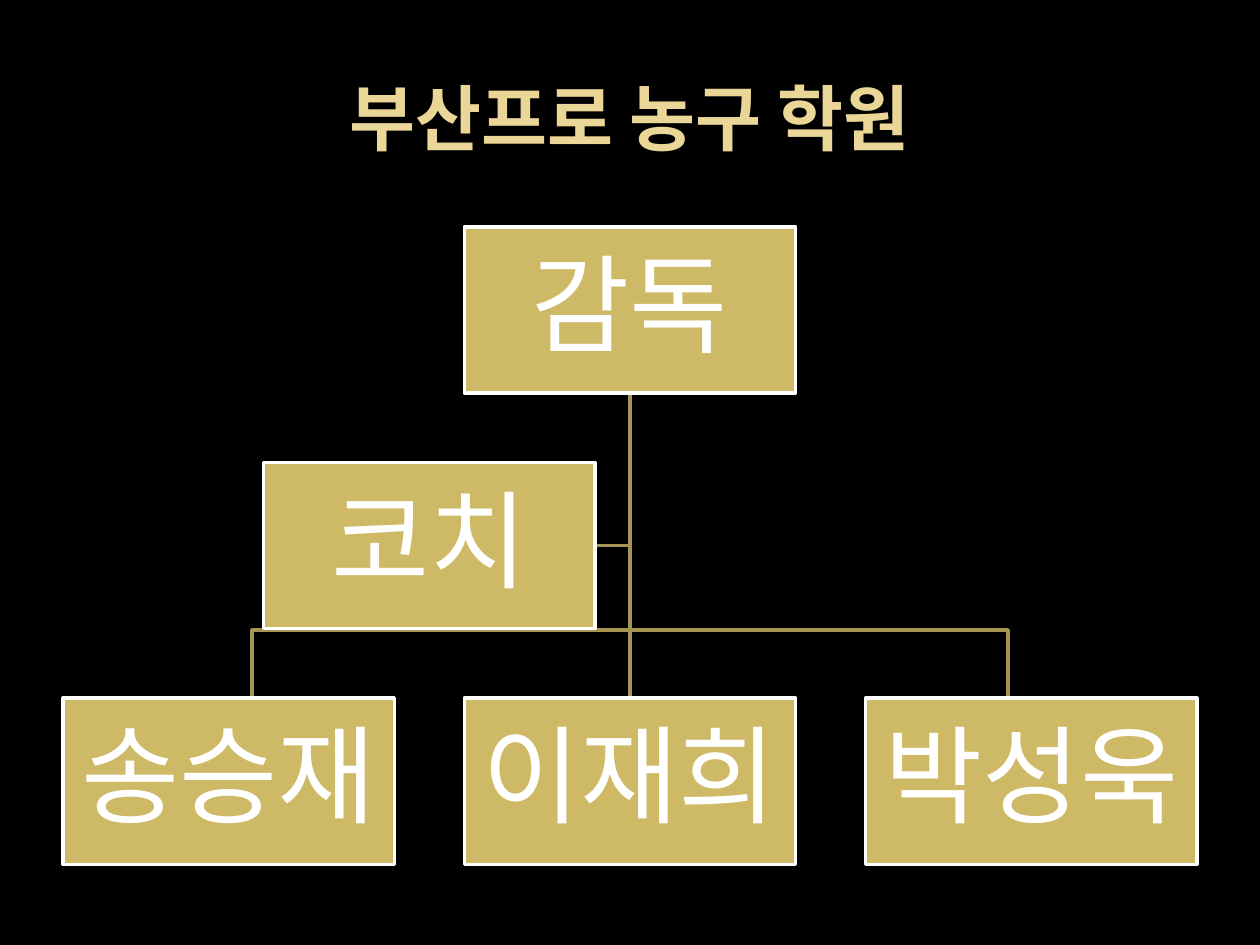
"""Build the organisation chart slide of a basketball academy."""
import pptx
import pptx.util
import pptx.dml.color
import pptx.enum.shapes
import pptx.enum.text
import pptx.oxml

Inches, Pt = pptx.util.Inches, pptx.util.Pt
COLORS = {"background": "000000", "title": "EAD696", "box": "CEB966",
          "white": "FFFFFF", "line": "A59452"}
LEFT, TOP = 0.5, 1.8
COLUMN, ROW = 3.185, 1.87
BOX_WIDTH, BOX_HEIGHT = 2.63, 1.32
CENTER = LEFT + COLUMN + BOX_WIDTH / 2
BAR = TOP + 2 * ROW - 0.28
MEMBERS = [("감독", 1, 0), ("송승재", 0, 2), ("이재희", 1, 2),
           ("박성욱", 2, 2), ("코치", 0.5, 1)]


def paint(format_part, color):
    format_part.solid()
    format_part.fore_color.rgb = pptx.dml.color.RGBColor.from_string(COLORS[color])


def add_line(x1, y1, x2, y2):
    connector = slide.shapes.add_connector(
        pptx.enum.shapes.MSO_CONNECTOR.STRAIGHT,
        Inches(x1), Inches(y1), Inches(x2), Inches(y2))
    connector._element.spPr.append(pptx.oxml.parse_xml(
        '<a:effectLst xmlns:a="http://schemas.openxmlformats.org/drawingml/2006/main"/>'))
    paint(connector.line.fill, "line")
    connector.line.width = Pt(2)
    return connector


presentation = pptx.Presentation()
presentation.slide_width, presentation.slide_height = Inches(10), Inches(7.5)
slide = presentation.slides.add_slide(presentation.slide_layouts[5])
paint(slide.background.fill, "background")

title = slide.shapes.title
title.left, title.top = Inches(0.5), Inches(0.3)
title.width, title.height = Inches(9), Inches(1.25)
title.text_frame.text = "부산프로 농구 학원"
title.text_frame.vertical_anchor = pptx.enum.text.MSO_ANCHOR.MIDDLE
paragraph = title.text_frame.paragraphs[0]
paragraph.alignment = pptx.enum.text.PP_ALIGN.CENTER
paragraph.font.name, paragraph.font.size, paragraph.font.bold = "Open Sans", Pt(41), True
paint(paragraph.font.fill, "title")

trunk = add_line(CENTER, TOP + BOX_HEIGHT, CENTER, TOP + 2 * ROW)
coach_middle = TOP + ROW + BOX_HEIGHT / 2
coach_branch = add_line(CENTER, coach_middle, LEFT + COLUMN / 2 + BOX_WIDTH, coach_middle)

first, last = CENTER - COLUMN, CENTER + COLUMN
builder = slide.shapes.build_freeform(first, TOP + 2 * ROW, scale=Inches(1))
builder.add_line_segments([(first, BAR), (last, BAR), (last, TOP + 2 * ROW)], close=False)
bracket = builder.convert_to_shape()
bracket.shadow.inherit = False
bracket.fill.background()
paint(bracket.line.fill, "line")
bracket.line.width = Pt(2)

boxes = {}
for name, column, row in MEMBERS:
    box = slide.shapes.add_shape(
        pptx.enum.shapes.MSO_SHAPE.RECTANGLE,
        Inches(LEFT + column * COLUMN), Inches(TOP + row * ROW),
        Inches(BOX_WIDTH), Inches(BOX_HEIGHT))
    box.shadow.inherit = False
    paint(box.fill, "box")
    paint(box.line.fill, "white")
    box.line.width = Pt(2)
    frame = box.text_frame
    frame.text = name
    frame.word_wrap = True
    frame.vertical_anchor = pptx.enum.text.MSO_ANCHOR.MIDDLE
    frame.margin_left = frame.margin_right = Inches(0.04)
    frame.margin_top = frame.margin_bottom = Inches(0.04)
    paragraph = frame.paragraphs[0]
    paragraph.alignment = pptx.enum.text.PP_ALIGN.CENTER
    paragraph.line_spacing, paragraph.space_after = 0.9, Pt(21)
    paragraph.font.name, paragraph.font.size = "Cambria", Pt(61)
    paint(paragraph.font.fill, "white")
    boxes[name] = box

trunk.begin_connect(boxes["감독"], 2)
trunk.end_connect(boxes["이재희"], 0)
coach_branch.end_connect(boxes["코치"], 3)

presentation.save("out.pptx")
